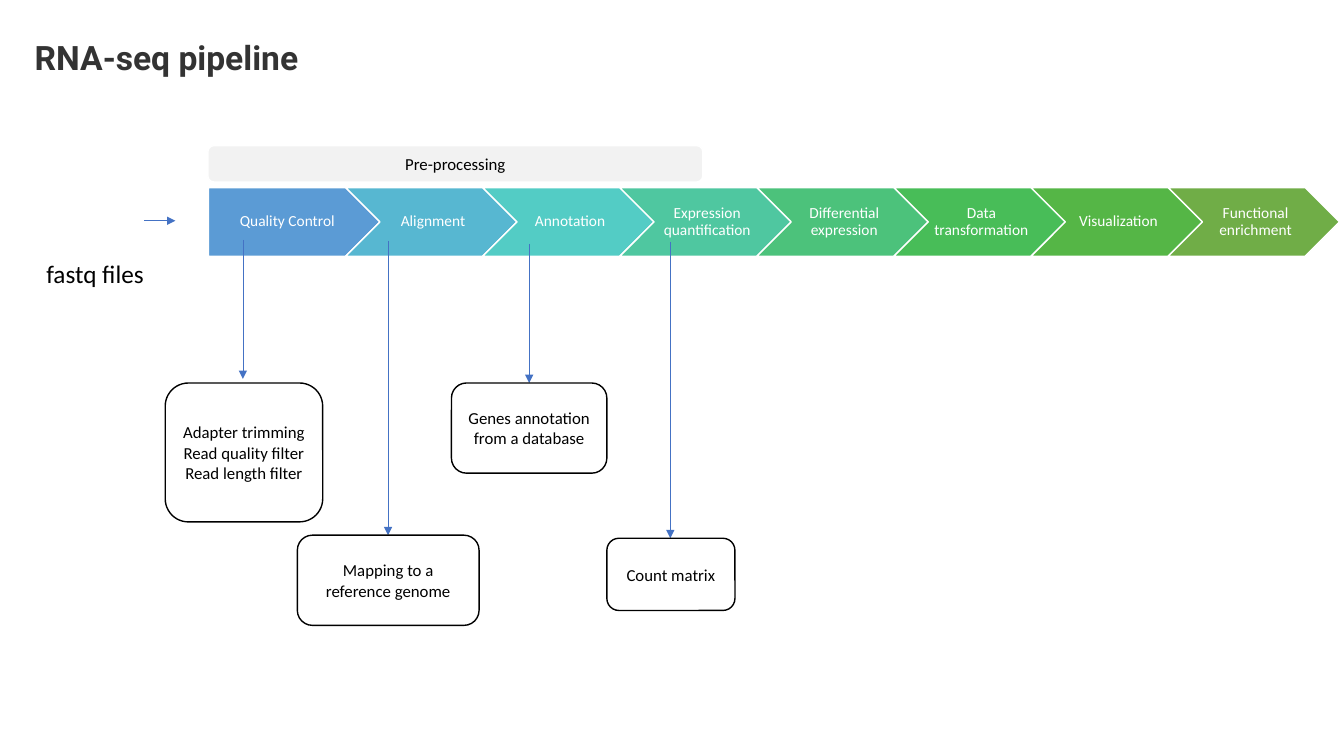
from pptx import Presentation
from pptx.dml.color import RGBColor
from pptx.enum.shapes import MSO_CONNECTOR, MSO_SHAPE
from pptx.enum.text import MSO_ANCHOR, PP_ALIGN
from pptx.oxml.ns import qn
from pptx.util import Pt
from lxml.etree import SubElement

# Content
TITLE = "RNA-seq pipeline"
STEPS = [
    ("Quality Control", "5B9BD5"),
    ("Alignment", "57B7D1"),
    ("Annotation", "53CCC5"),
    ("Expression quantification", "4FC7A0"),
    ("Differential expression", "4CC27B"),
    ("Data transformation", "48BD58"),
    ("Visualization", "55B646"),
    ("Functional enrichment", "70AD47"),
]
# Text, box (left, top, width, height), arrow x, arrow top, arrow end
NOTES = [
    ("Adapter trimming\nRead quality filter\nRead length filter",
     (118, 273.6, 112.5, 99.2), 173.5, 171.4, 270.7),
    ("Mapping to a reference genome", (212.4, 382.3, 129.8, 64.4), 277.2, 172, 382.3),
    ("Genes annotation from a database", (322.5, 273.6, 111, 64.4), 378, 174.2, 273.6),
    ("Count matrix", (433.5, 384.5, 91.5, 51.6), 478.8, 172.8, 384.5),
]

# Step band, in points
LEFT, TOP, WIDE, HIGH, PITCH = 149, 134, 122.4, 49, 97.92


def color(code):
    return RGBColor.from_string(code)


def style(frame, size, code, font="Calibri", bold=False, align=PP_ALIGN.CENTER):
    for para in frame.paragraphs:
        para.alignment = align
        for run in para.runs:
            run.font.size = Pt(size)
            run.font.name = font
            run.font.bold = bold
            run.font.color.rgb = color(code)


def block(kind, box, text, size, ink, fill, edge):
    shape = slide.shapes.add_shape(kind, *[Pt(v) for v in box])
    shape.shadow.inherit = False
    if fill:
        shape.fill.solid()
        shape.fill.fore_color.rgb = color(fill)
    else:
        shape.fill.background()
    shape.line.color.rgb = color(edge)
    shape.line.width = Pt(1)
    frame = shape.text_frame
    frame.text = text
    frame.word_wrap = True
    frame.vertical_anchor = MSO_ANCHOR.MIDDLE
    style(frame, size, ink)
    return frame


def arrow(*ends):
    line = slide.shapes.add_connector(MSO_CONNECTOR.STRAIGHT, *[Pt(v) for v in ends])
    line.line.color.rgb = color("4472C4")
    line.line.width = Pt(0.5)
    SubElement(line.line._get_or_add_ln(), qn("a:tailEnd"), type="triangle")
    SubElement(line._element.spPr, qn("a:effectLst"))


deck = Presentation()
deck.slide_width, deck.slide_height = Pt(960), Pt(540)
slide = deck.slides.add_slide(deck.slide_layouts[5])

# Title
title = slide.shapes.title
title.left, title.top, title.width, title.height = Pt(-121), Pt(23), Pt(480), Pt(65.5)
title.text_frame.text = TITLE
title.text_frame.word_wrap = True
title.text_frame.vertical_anchor = MSO_ANCHOR.TOP
style(title.text_frame, 24, "333333", "Roboto", True)

# Pipeline steps
for i, (name, fill) in enumerate(STEPS):
    kind = MSO_SHAPE.CHEVRON if i else MSO_SHAPE.PENTAGON
    frame = block(kind, (LEFT + i * PITCH, TOP, WIDE, HIGH), name, 11, "FFFFFF", fill, "FFFFFF")
    frame.margin_left, frame.margin_right = Pt(4), Pt(1.5)
    frame.margin_top = frame.margin_bottom = Pt(2)
    frame.paragraphs[0].line_spacing = 0.9

# Phase bar
block(MSO_SHAPE.ROUNDED_RECTANGLE, (148.5, 104, 353.5, 26), "Pre-processing",
      12, "000000", "F2F2F2", "FFFFFF")

# Input files
files = slide.shapes.add_textbox(Pt(26), Pt(180.7), Pt(85), Pt(29))
files.text_frame.text = "fastq files"
files.text_frame.word_wrap = False
style(files.text_frame, 18, "000000", align=PP_ALIGN.LEFT)
arrow(103, 157.7, 125.3, 157.7)

# Step details
for text, box, x, start, end in NOTES:
    arrow(x, start, x, end)
    block(MSO_SHAPE.ROUNDED_RECTANGLE, box, text, 12, "000000", None, "000000")

deck.save("out.pptx")
